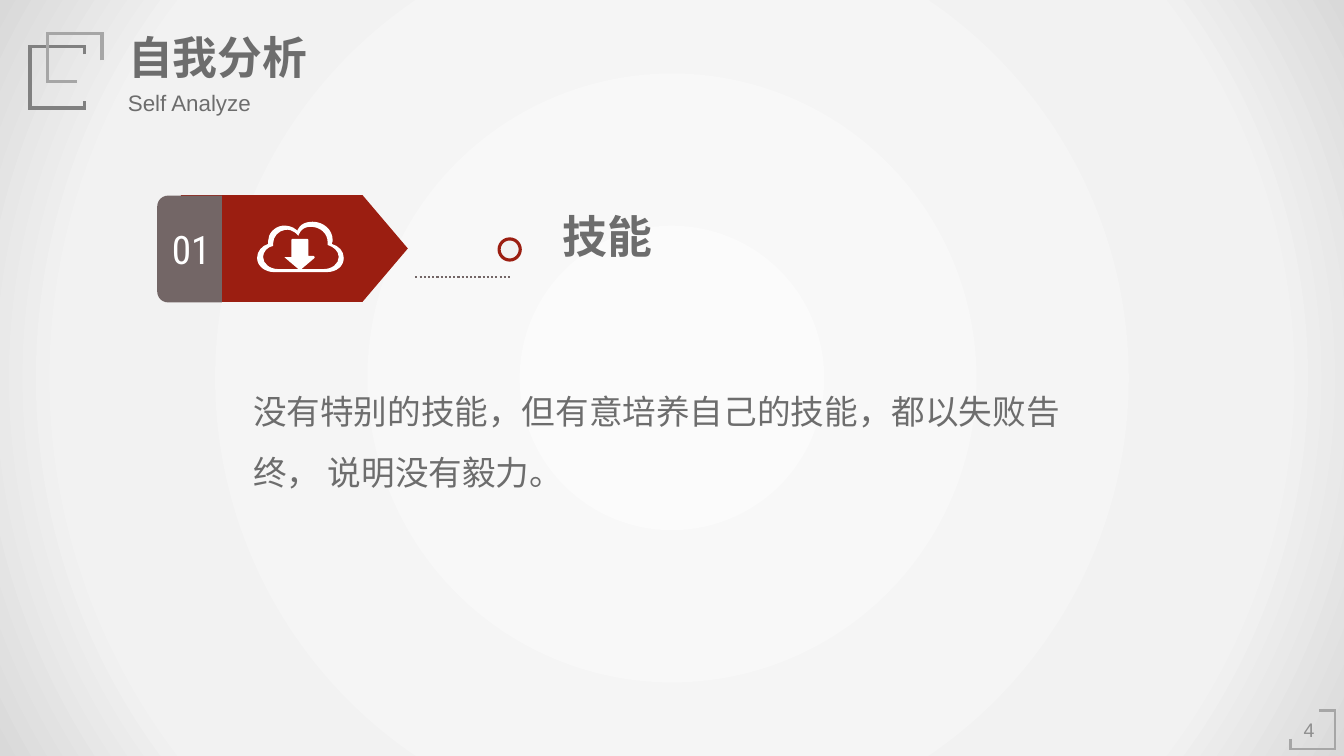
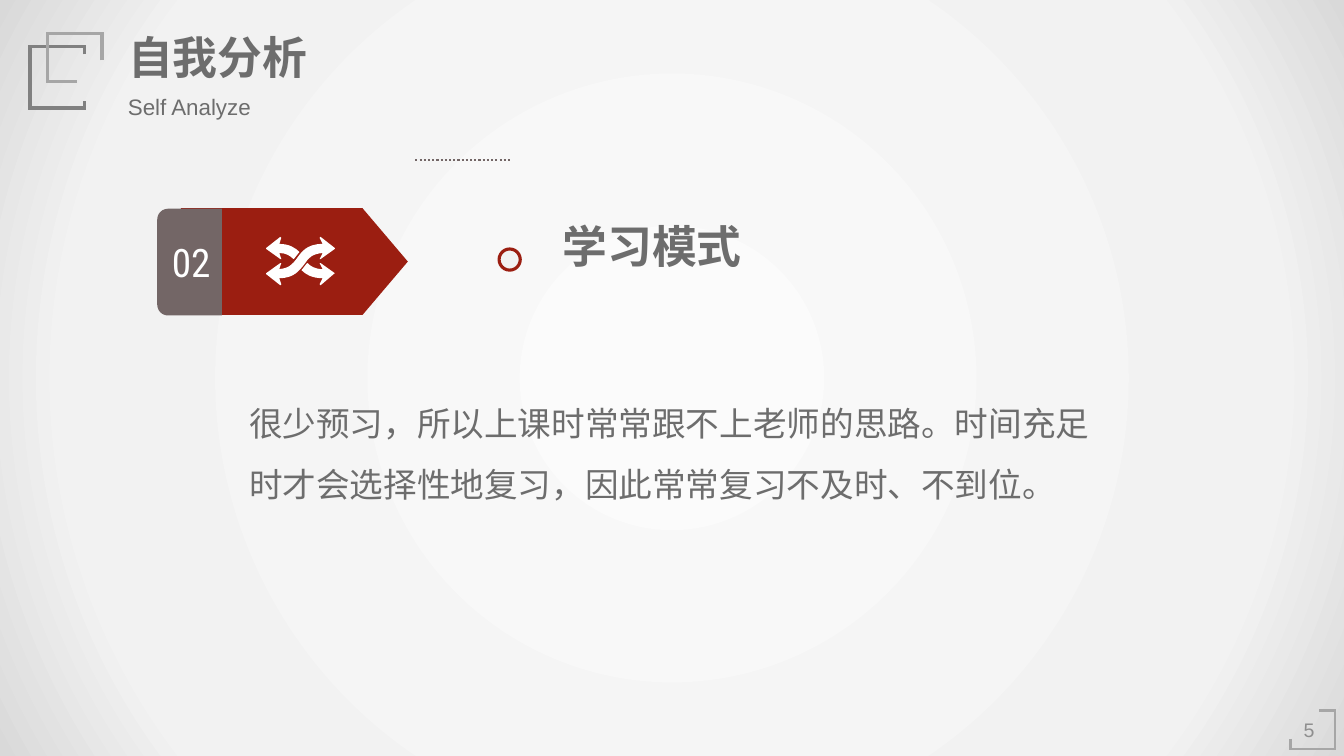
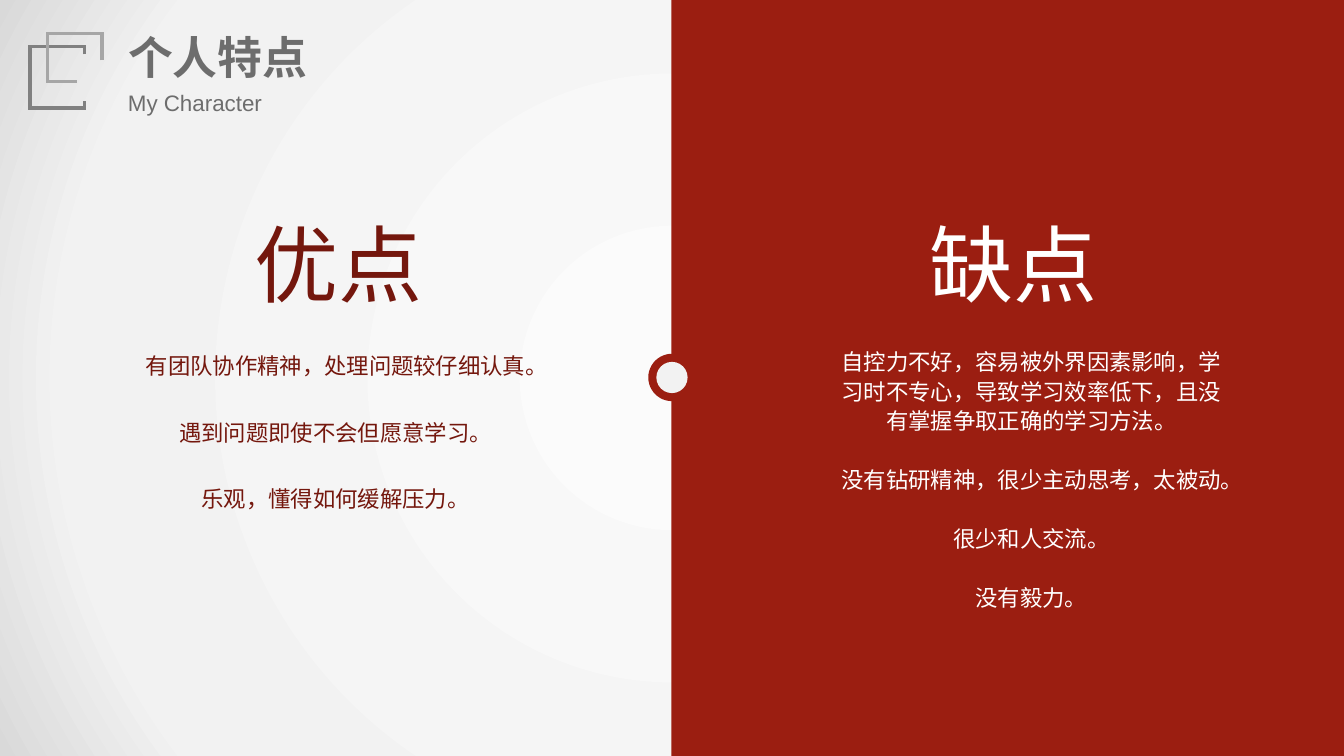
from lxml import etree
from pptx import Presentation
from pptx import util as u
from pptx.dml import color as c
from pptx.enum import dml, shapes as s, text as t
from pptx.oxml import ns

WIDE, HIGH = 13.33, 7.5
LATIN, HAN, SLIM = "Arial", "Noto Sans CJK SC", "Roboto Condensed"
HUES = {
    "red": "9B1E11", "wine": "74170D", "taupe": "736666", "ink": "6D6D6D",
    "white": "FFFFFF", "pale": "F2F2F2", "glow": "FBFBFB", "rim": "D9D9D9",
    "dark": "808080", "light": "A6A6A6", "page": "8F8F8F",
}
CLOUD = (2.55, 2.2, [
    [(74, 22), (75, 20, 75, 19, 75, 18), (75, 8, 66, 0, 55, 0),
     (42, 0, 40, 9, 40, 9), (40, 9, 35, 3, 25, 4), (17, 5, 11, 12, 11, 19),
     (11, 20, 11, 21, 11, 22), (5, 24, 0, 29, 0, 36), (0, 44, 8, 50, 17, 50),
     (69, 50), (79, 50, 86, 44, 86, 36), (86, 29, 81, 24, 74, 22)],
    [(66, 47), (44, 47), (57, 36), (57, 36, 58, 34, 56, 34), (51, 34),
     (51, 18), (51, 18, 51, 17, 50, 17), (35, 17), (34, 17, 34, 18, 34, 18),
     (34, 35), (28, 35), (26, 35, 28, 36, 28, 36), (41, 47), (21, 47),
     (13, 47, 6, 42, 6, 35), (6, 30, 10, 25, 16, 24), (16, 23, 16, 22, 16, 21),
     (16, 15, 21, 9, 28, 8), (36, 7, 41, 14, 41, 14), (41, 14, 43, 5, 53, 5),
     (63, 5, 70, 12, 70, 20), (70, 21, 70, 22, 70, 23),
     (76, 25, 81, 29, 81, 35), (81, 42, 74, 47, 66, 47)],
])
SWAP = (2.64, 2.35, [
    [(68, 36), (54, 48), (53, 47), (56, 41), (45, 41, 39, 37, 35, 33),
     (37, 31, 38, 29, 39, 28), (40, 27, 40, 26, 41, 26),
     (44, 29, 48, 32, 56, 32), (53, 26), (54, 26), (68, 36)],
    [(14, 22), (15, 22), (13, 16), (20, 16, 24, 19, 27, 22),
     (28, 22, 28, 21, 29, 20), (30, 19, 31, 17, 33, 15),
     (29, 11, 23, 7, 13, 7), (15, 1), (14, 0), (0, 11), (0, 12), (14, 22)],
    [(38, 27), (42, 21, 45, 17, 56, 16), (53, 22), (54, 22), (68, 12),
     (68, 11), (54, 0), (53, 1), (56, 7), (40, 7, 35, 15, 30, 22),
     (26, 27, 23, 31, 13, 32), (15, 26), (14, 26), (0, 36), (0, 37),
     (14, 48), (15, 47), (13, 41), (28, 41, 33, 33, 38, 27)],
])


def hue(name):
    return c.RGBColor.from_string(HUES[name])


def add(node, tag, **attrs):
    return etree.SubElement(node, ns.qn(tag), attrs)


def paint(shape, fill=None, line=None, width=1):
    shape.shadow.inherit = False
    if fill:
        shape.fill.solid()
        shape.fill.fore_color.rgb = hue(fill)
    else:
        shape.fill.background()
    if line:
        shape.line.color.rgb = hue(line)
        shape.line.width = u.Pt(width)
    else:
        shape.line.fill.background()
    return shape


def form(slide, kind, x, y, w, h, turn=0, **look):
    shape = slide.shapes.add_shape(kind, *map(u.Inches, (x, y, w, h)))
    shape.rotation = turn
    return paint(shape, **look)


def trace(slide, *points, **look):
    grid = [(x * 100, y * 100) for x, y in points]
    pen = slide.shapes.build_freeform(*grid[0], scale=u.Inches(.01))
    pen.add_line_segments(grid[1:], close=False)
    shape = paint(pen.convert_to_shape(), **look)
    add(shape.line._get_or_add_ln(), "a:miter", lim="800000")
    return shape


def icon(slide, left, top, rings):
    pen = slide.shapes.build_freeform(*rings[0][0], scale=u.Inches(.01))
    for i, ring in enumerate(rings):
        if i:
            pen.move_to(*ring[0])
        pen.add_line_segments([step[-2:] for step in ring[1:]], close=True)
    shape = paint(pen.convert_to_shape(u.Inches(left), u.Inches(top)),
                  fill="white")
    steps = [step for ring in rings for step in ring[1:]]
    lines = list(shape.element.iter(ns.qn("a:lnTo")))
    for line, step in zip(lines, steps):
        if len(step) == 6:
            curve = etree.Element(ns.qn("a:cubicBezTo"))
            for x, y in zip(step[::2], step[1::2]):
                add(curve, "a:pt", x=str(x), y=str(y))
            line.getparent().replace(line, curve)


def write(shape, *lines, size=16, color="ink", font=LATIN, bold=False,
          align=t.PP_ALIGN.LEFT, lead=1.0, gap=0,
          anchor=t.MSO_ANCHOR.TOP, wrap=True):
    frame = shape.text_frame
    frame.word_wrap = wrap
    frame.auto_size = t.MSO_AUTO_SIZE.NONE
    frame.vertical_anchor = anchor
    for i, line in enumerate(lines):
        para = frame.add_paragraph() if i else frame.paragraphs[0]
        para.alignment, para.line_spacing = align, lead
        para.space_before = u.Pt(gap if i else 0)
        para.space_after = u.Pt(0)
        props = para._p.get_or_add_pPr()
        props.set("marL", "0")
        props.set("indent", "0")
        add(props, "a:buNone")
        run = para.add_run()
        run.text = line
        run.font.size, run.font.bold, run.font.name = u.Pt(size), bold, font
        run.font.color.rgb = hue(color)
        add(run._r.rPr, "a:ea", typeface=HAN)


def place(shape, x, y, w, h):
    shape.left, shape.top, shape.width, shape.height = map(
        u.Inches, (x, y, w, h))
    return shape


def label(slide, text, x, y, w, h, **look):
    write(slide.shapes.add_textbox(*map(u.Inches, (x, y, w, h))), text, **look)


def sink(home, parts):
    for i, part in enumerate(parts):
        home.shapes.element.insert(2 + i, part.element)


def glow(shape):
    props = shape.element.spPr
    old = props.find(ns.qn("a:noFill"))
    grad = etree.Element(ns.qn("a:gradFill"), rotWithShape="1")
    stops = add(grad, "a:gsLst")
    for spot, name in ((0, "glow"), (79, "pale"), (100, "rim")):
        stop = add(stops, "a:gs", pos=str(spot * 1000))
        add(stop, "a:srgbClr", val=HUES[name])
    way = add(grad, "a:path", path="circle")
    add(way, "a:fillToRect", l="50000", t="50000", r="50000", b="50000")
    props.replace(old, grad)
    return shape


def theme(deck, slide):
    back = glow(form(slide, s.MSO_SHAPE.RECTANGLE, 0, 0, WIDE, HIGH))
    near = trace(slide, (.84, .54), (.84, .46), (.3, .46), (.3, 1.07),
                 (.84, 1.07), (.84, 1), line="dark", width=2.5)
    far = trace(slide, (1.01, .6), (1.01, .33), (.47, .33), (.47, .81),
                (.76, .81), line="light", width=2.5)
    sink(deck.slide_master, [back, near, far])


def head(slide, title, sub, top=.84):
    write(place(slide.shapes.title, 1.17, .24, 2, .64), title,
          size=32, bold=True, wrap=False)
    label(slide, sub, 1.17, top, 2.52, .37)


def page(slide, num):
    trace(slide, (12.8, 7.33), (12.8, 7.43), (13.24, 7.43), (13.24, 7.05),
          (13.08, 7.05), line="light", width=2)
    label(slide, num, 12.77, 7.08, .43, .31, size=14, color="page",
          align=t.PP_ALIGN.CENTER, anchor=t.MSO_ANCHOR.MIDDLE)


def dots(slide, y):
    line = slide.shapes.add_connector(
        s.MSO_CONNECTOR.STRAIGHT, *map(u.Inches, (4.12, y, 5.06, y)))
    line.line.color.rgb = hue("taupe")
    line.line.width = u.Pt(1.5)
    line.line.dash_style = dml.MSO_LINE.ROUND_DOT
    add(line.element.spPr, "a:effectLst")


def badge(slide, num, art, y):
    form(slide, s.MSO_SHAPE.FLOWCHART_OFFPAGE_CONNECTOR,
         2.39, y - .81, 1.06, 2.25, turn=270, fill="red")
    tab = form(slide, s.MSO_SHAPE.ROUND_2_SAME_RECTANGLE,
               1.35, y, 1.06, .64, turn=270, fill="taupe")
    write(tab, num, size=28, color="white", font=SLIM,
          align=t.PP_ALIGN.CENTER, anchor=t.MSO_ANCHOR.MIDDLE)
    tab.text_frame._txBody.bodyPr.set("vert", "vert")
    icon(slide, *art)


def topic(slide, num, art, name, text, y, top, rule, spot):
    label(slide, name, 5.48, top, 2.63, .64, size=32, font=HAN, bold=True)
    form(slide, s.MSO_SHAPE.OVAL, 4.95, top + .35, .21, .21,
         fill="pale", line="red", width=2.25)
    badge(slide, num, art, y)
    dots(slide, rule)
    write(place(slide.placeholders[1], *spot), text, size=24, lead=1.5)


def split(slide):
    sink(slide, [
        form(slide, s.MSO_SHAPE.RECTANGLE, 6.66, 0, 6.67, HIGH, fill="red"),
        form(slide, s.MSO_SHAPE.OVAL, 6.43, 3.51, .47, .47, fill="red"),
        form(slide, s.MSO_SHAPE.OVAL, 6.51, 3.59, .31, .31, fill="pale"),
    ])


def side(slide, first, name, lines, x, left, h, color, **look):
    write(place(slide.placeholders[first], x, 2.06, 3.58, 1.11), name,
          size=60, color=color)
    write(place(slide.placeholders[first + 1], left, 3.38, 4.12, h), *lines,
          color=color, align=t.PP_ALIGN.CENTER, **look)


def main():
    deck = Presentation()
    deck.slide_width, deck.slide_height = u.Inches(WIDE), u.Inches(HIGH)
    skill, study, traits = [
        deck.slides.add_slide(deck.slide_layouts[i]) for i in (1, 1, 4)]
    theme(deck, skill)

    head(skill, "自我分析", "Self Analyze")
    topic(skill, "01", CLOUD, "技能",
          "没有特别的技能，但有意培养自己的技能，都以失败告终， 说明没有毅力。",
          2.15, 2.02, 2.75, (2.41, 3.63, 8.52, 1.63))
    page(skill, "4")

    head(study, "自我分析", "Self Analyze", top=.88)
    topic(study, "02", SWAP, "学习模式",
          "很少预习，所以上课时常常跟不上老师的思路。时间充足"
          "时才会选择性地复习，因此常常复习不及时、不到位。",
          2.28, 2.12, 1.59, (2.37, 3.75, 8.59, 1.63))
    page(study, "5")

    split(traits)
    head(traits, "个人特点", "My Character")
    side(traits, 1, "优点", [
        "有团队协作精神，处理问题较仔细认真。",
        "遇到问题即使不会但愿意学习。",
        "乐观，懂得如何缓解压力。",
    ], 2.42, 1.27, 2.43, "wine", font=HAN, lead=1.25, gap=23.5)
    side(traits, 3, "缺点", [
        "自控力不好，容易被外界因素影响，学习时不专心，"
        "导致学习效率低下，且没有掌握争取正确的学习方法。",
        "没有钻研精神，很少主动思考，太被动。",
        "很少和人交流。",
        "没有毅力。",
    ], 9.12, 8.17, 2.74, "white", lead=1.1, gap=21)
    deck.save("out.pptx")


main()
